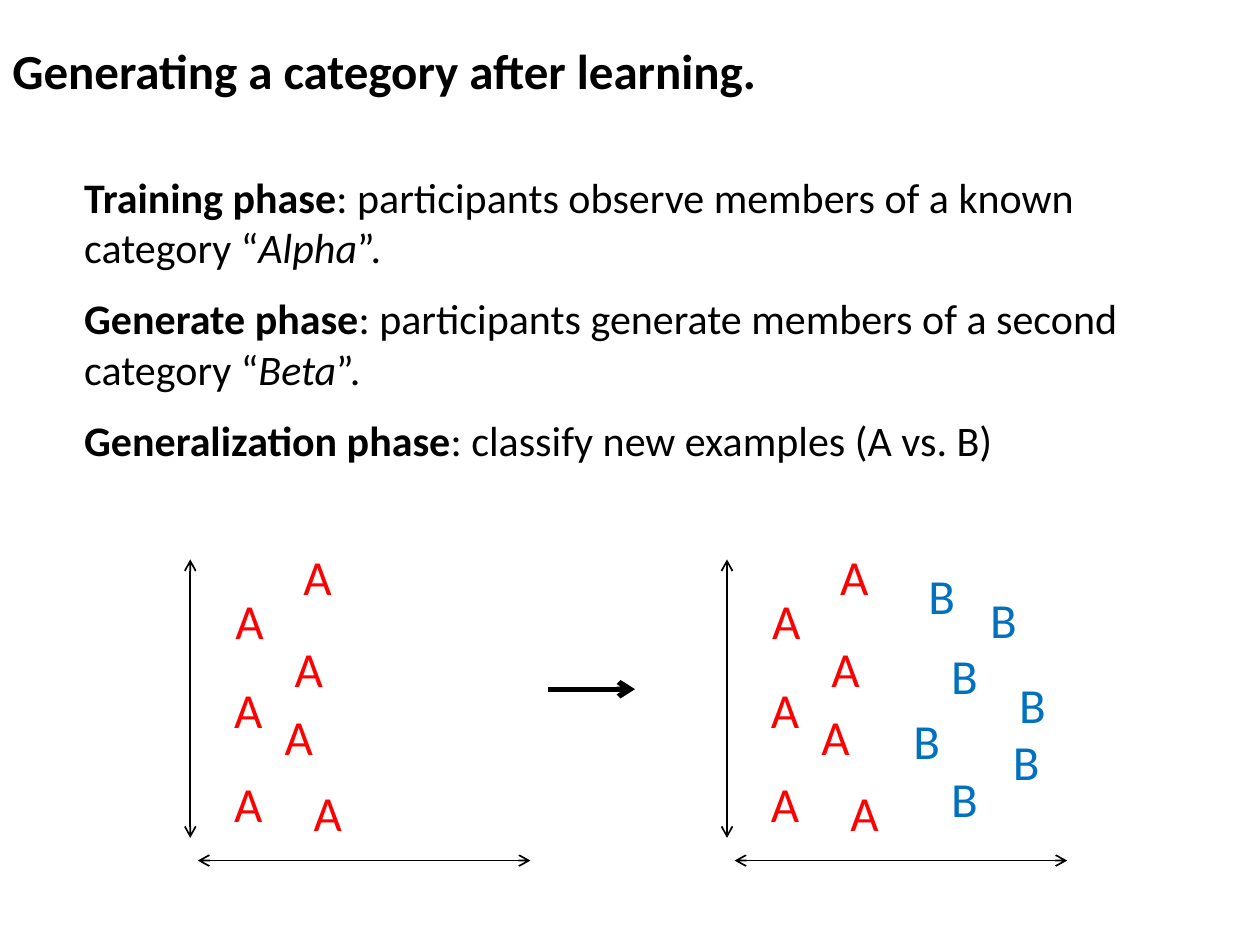
import pptx
import pptx.util
import pptx.dml.color
import pptx.enum.shapes
import pptx.enum.text
import pptx.oxml.ns
import lxml.etree

Inches = pptx.util.Inches

FONT = "Calibri"
BLACK, RED, BLUE = "000000", "FF0000", "0070C0"
BOLD, ITALIC, PLAIN = {"bold": True}, {"italic": True}, {}

TITLE = [[("Generating a category after learning.", BOLD)]]
PHASES = [
    [("Training phase", BOLD),
     (": participants observe members of a known category “", PLAIN),
     ("Alpha", ITALIC), ("”.", PLAIN)],
    [("Generate phase", BOLD),
     (": participants generate members of a second category “", PLAIN),
     ("Beta", ITALIC), ("”.", PLAIN)],
    [("Generalization phase", BOLD),
     (": classify new examples (A vs. B)", PLAIN)],
]

PLOT_LEFTS = [1.51, 5.77]
ALPHA_OFFSETS = [(0.65, 5.56), (0.73, 5.02), (0.25, 6.09), (0.26, 4.64),
                 (0.25, 5.34), (0.8, 4.29), (0.88, 6.16)]
BETA_OFFSETS = [(1.68, 6.05), (1.99, 4.63), (1.68, 5.07), (2.17, 5.76),
                (1.5, 4.44), (2.22, 5.3), (1.38, 5.59)]
AXIS_TOP, AXIS_BOTTOM = 4.44, 6.65
AXIS_START, AXIS_END, AXIS_Y = 0.06, 2.7, 6.83
LETTER_HEIGHT = 0.72


def color(value):
    return pptx.dml.color.RGBColor.from_string(value)


def add_text(slide, box, paragraphs, size, text_color=BLACK, space_after=0):
    shape = slide.shapes.add_textbox(*map(Inches, box))
    frame = shape.text_frame
    frame.word_wrap = True
    frame.auto_size = pptx.enum.text.MSO_AUTO_SIZE.SHAPE_TO_FIT_TEXT
    for index, runs in enumerate(paragraphs):
        paragraph = frame.add_paragraph() if index else frame.paragraphs[0]
        paragraph.space_after = pptx.util.Pt(space_after)
        for text, style in runs:
            run = paragraph.add_run()
            run.text = text
            formats = {"name": FONT, "size": pptx.util.Pt(size), **style}
            for name, value in formats.items():
                setattr(run.font, name, value)
            run.font.color.rgb = color(text_color)


def add_arrow(slide, start, end, width, ends):
    connector = slide.shapes.add_connector(
        pptx.enum.shapes.MSO_CONNECTOR.STRAIGHT, *map(Inches, start + end))
    connector.line.width = pptx.util.Pt(width)
    connector.line.color.rgb = color(BLACK)
    shape_properties = connector._element.spPr
    line = shape_properties.find(pptx.oxml.ns.qn("a:ln"))
    for name in ends:
        lxml.etree.SubElement(line, pptx.oxml.ns.qn(name), type="arrow")
    lxml.etree.SubElement(shape_properties, pptx.oxml.ns.qn("a:effectLst"))


def add_letters(slide, letter, left, offsets, width, letter_color):
    for offset, top in offsets:
        add_text(slide, (left + offset, top, width, LETTER_HEIGHT),
                 [[(letter, PLAIN)]], 28, letter_color)


def add_plot(slide, left):
    both_ends = ["a:headEnd", "a:tailEnd"]
    add_arrow(slide, (left, AXIS_TOP), (left, AXIS_BOTTOM), 1, both_ends)
    add_arrow(slide, (left + AXIS_END, AXIS_Y), (left + AXIS_START, AXIS_Y), 1, both_ends)
    add_letters(slide, "A", left, ALPHA_OFFSETS, 0.52, RED)


def main():
    presentation = pptx.Presentation()
    presentation.slide_width = Inches(10)
    presentation.slide_height = Inches(7.5)
    slide = presentation.slides.add_slide(presentation.slide_layouts[6])

    add_text(slide, (0, 0.27, 10, 0.57), TITLE, 28, space_after=12)
    for left in PLOT_LEFTS:
        add_plot(slide, left)
    add_arrow(slide, (5.04, 5.47), (4.35, 5.47), 3, ["a:headEnd"])
    add_letters(slide, "B", PLOT_LEFTS[1], BETA_OFFSETS, 0.5, BLUE)
    add_text(slide, (0.57, 1.31, 9.15, 2.46), PHASES, 24, space_after=12)

    presentation.save("out.pptx")


if __name__ == "__main__":
    main()
